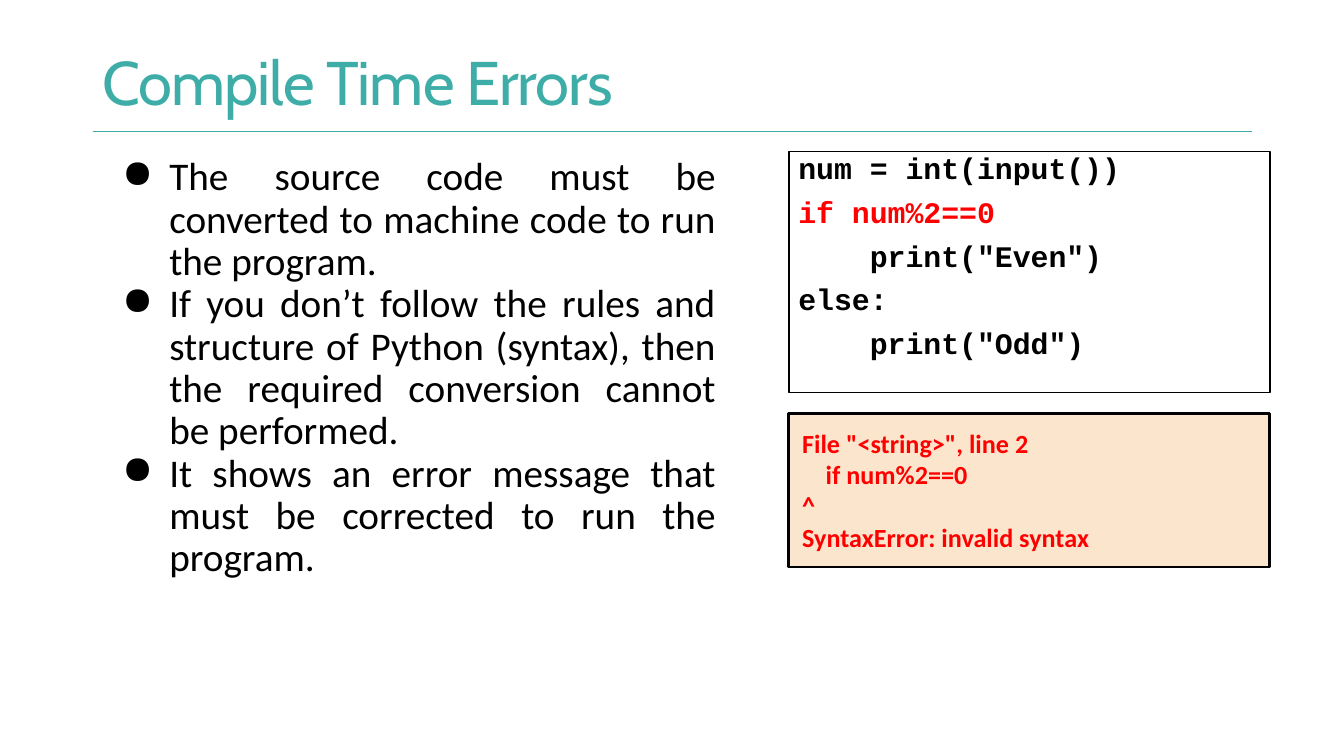
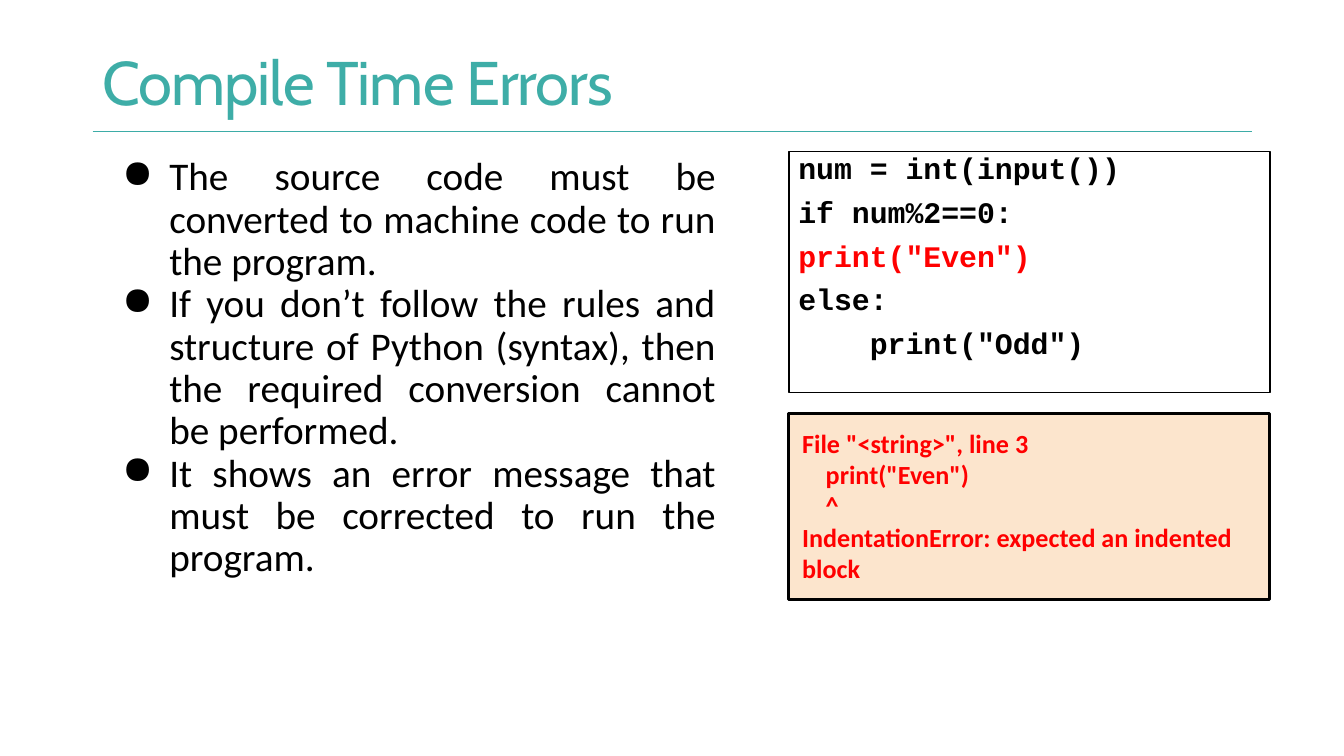
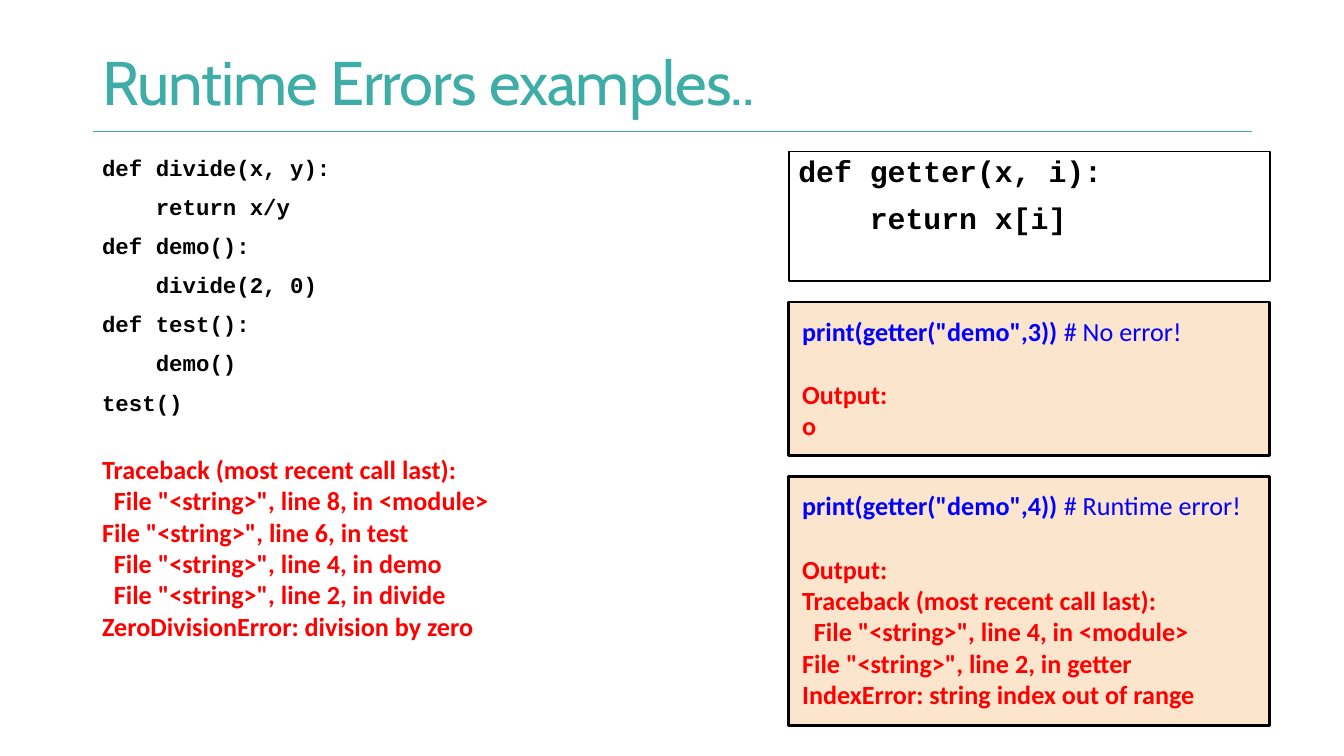
from dataclasses import dataclass, replace

from lxml import etree
from pptx import Presentation
from pptx.dml.color import RGBColor
from pptx.enum import shapes, text
from pptx.oxml.ns import qn
from pptx.util import Cm, Pt


# Text styles
@dataclass(frozen=True)
class Look:
    font: str
    size: int
    hue: str
    bold: bool = False
    lead: float = 1.0
    gap: int = 0


TEAL, BLACK, RED, BLUE, PEACH = "3EADA7", "000000", "FF0000", "0000FF", "FCE5CD"
HEAD = Look("Cabin", 33, TEAL, lead=0.9)
POINT = Look("Calibri", 21, BLACK, lead=0.9)
CODE = Look("Courier New", 16, BLACK, True, 0.8, 8)
BAD = replace(CODE, hue=RED)
WIDE = replace(CODE, lead=0.9)
SMALL = replace(WIDE, size=12)
ERROR = Look("Calibri", 14, RED, True)
CALL = replace(ERROR, hue=BLUE)
NOTE = replace(CALL, bold=False)

# Layout in centimetres
LEFT, TOP, WIDTH = 1.75, 2.87, 11.96
SIDE, SPAN, GAP = 14.91, 9.09, 0.4
RULE, END = 2.49, 23.67
TIGHT, ROOMY = (0.18, 0.1), (0.25, 0.25)


def color(hue):
    return RGBColor.from_string(hue)


class Deck:
    def __init__(self):
        self.prs = Presentation()
        self.prs.slide_width, self.prs.slide_height = Cm(25.4), Cm(14.29)
        self.slide = None
        self.y = TOP

    def start(self, title):
        """Add a slide with its title and rule."""
        self.slide = self.prs.slides.add_slide(self.prs.slide_layouts[5])
        self.y = TOP
        head = self.slide.shapes.title
        head.left, head.top = Cm(LEFT), Cm(0.76)
        head.width, head.height = Cm(19.69), Cm(1.73)
        self.label(head, [title], HEAD, TIGHT, text.MSO_ANCHOR.MIDDLE)
        head.text_frame.paragraphs[0].runs[0].font._element.set("spc", "-50")

        rule = self.slide.shapes.add_connector(
            shapes.MSO_CONNECTOR.STRAIGHT, Cm(LEFT), Cm(RULE), Cm(END), Cm(RULE))
        rule.line.color.rgb, rule.line.width = color("3DACA7"), Pt(0.75)
        etree.SubElement(rule._element.spPr, qn("a:effectLst"))

    def label(self, shape, lines, look, pad, anchor=text.MSO_ANCHOR.TOP, dots=False):
        """Fill a shape; a line is a string or a list of (string, look) runs."""
        frame = shape.text_frame
        frame.word_wrap, frame.vertical_anchor = True, anchor
        frame.auto_size = text.MSO_AUTO_SIZE.NONE
        frame.margin_left = frame.margin_right = Cm(pad[0])
        frame.margin_top = frame.margin_bottom = Cm(pad[1])
        for num, line in enumerate(lines):
            runs = [(line, look)] if isinstance(line, str) else line
            para = frame.add_paragraph() if num else frame.paragraphs[0]
            para.alignment = text.PP_ALIGN.JUSTIFY if dots else text.PP_ALIGN.LEFT
            if dots:
                self.dot(para)
            base = runs[0][1]
            para.line_spacing = base.lead
            para.space_before = Pt(base.gap if num else 0)
            for words, style in runs:
                run = para.add_run()
                run.text = words
                font = run.font
                font.name, font.size, font.bold = style.font, Pt(style.size), style.bold
                font.color.rgb = color(style.hue)

    def dot(self, para):
        """Give a paragraph a hanging round bullet."""
        props = para._p.get_or_add_pPr()
        props.set("marL", str(Cm(1.27)))
        props.set("indent", str(Cm(-0.89)))
        tint = etree.SubElement(props, qn("a:buClr"))
        etree.SubElement(tint, qn("a:srgbClr"), val=BLACK)
        etree.SubElement(props, qn("a:buChar"), char="●")

    def body(self, lines, look, high, dots=False):
        """Add the left column."""
        box = self.slide.shapes.add_textbox(Cm(LEFT), Cm(TOP), Cm(WIDTH), Cm(high))
        self.label(box, lines, look, TIGHT, dots=dots)

    def panel(self, lines, look, high, fill=None):
        """Stack a framed box in the right column."""
        box = self.slide.shapes.add_shape(
            shapes.MSO_SHAPE.RECTANGLE, Cm(SIDE), Cm(self.y), Cm(SPAN), Cm(high))
        box.shadow.inherit = False
        box.line.color.rgb = color(BLACK)
        box.line.width = Pt(1.5 if fill else 0.75)
        if fill:
            box.fill.solid()
            box.fill.fore_color.rgb = color(fill)
        else:
            box.fill.background()
        self.label(box, lines, look, ROOMY if fill else TIGHT)
        self.y += high + GAP


POINTS = [
    "The source code must be converted to machine code to run the program.",
    "If you don’t follow the rules and structure of Python (syntax), "
    "then the required conversion cannot be performed.",
    "It shows an error message that must be corrected to run the program.",
]


def fault(deck, code, error, high):
    """Build a slide on one compile time error."""
    deck.start("Compile Time Errors")
    deck.body(POINTS, POINT, 8.28, dots=True)
    deck.panel(code, CODE, 4.55)
    deck.panel(error, ERROR, high, PEACH)


def trial(deck, call, note, output, high):
    """Add a panel with a call and its output."""
    head = [("Output:", replace(ERROR, gap=17))]
    deck.panel([[(call + " ", CALL), (note, NOTE)], head, *output],
               ERROR, high, PEACH)


def main():
    deck = Deck()

    # Missing colon
    fault(deck,
          ["num = int(input())", [("if num%2==0", BAD)], '    print("Even")',
           "else:", '    print("Odd")'],
          ['File "<string>", line 2', "    if num%2==0", "^",
           "SyntaxError: invalid syntax"], 2.9)

    # Missing indent
    fault(deck,
          ["num = int(input())", "if num%2==0:", [('print("Even")', BAD)],
           "else:", '    print("Odd")'],
          ['File "<string>", line 3', '    print("Even")', "    ^",
           "IndentationError: expected an indented block"], 3.51)

    # Runtime errors
    deck.start("Runtime Errors examples..")
    trace = "Traceback (most recent call last):"
    deck.body(["def divide(x, y):", "    return x/y", "def demo():",
               "    divide(2, 0)", "def test():", "    demo()", "test()",
               [(trace, replace(ERROR, gap=20))],
               *([(line, ERROR)] for line in (
                   '  File "<string>", line 8, in <module>',
                   'File "<string>", line 6, in test',
                   '  File "<string>", line 4, in demo',
                   '  File "<string>", line 2, in divide',
                   "ZeroDivisionError: division by zero"))],
              SMALL, 9.47)
    deck.panel(["def getter(x, i):", "    return x[i]"], WIDE, 2.44)
    trial(deck, 'print(getter("demo",3))', "# No error!", ["o"], 2.9)
    trial(deck, 'print(getter("demo",4))', "# Runtime error!",
          [trace, '  File "<string>", line 4, in <module>',
           'File "<string>", line 2, in getter',
           "IndexError: string index out of range"], 4.7)

    deck.prs.save("out.pptx")


if __name__ == "__main__":
    main()
